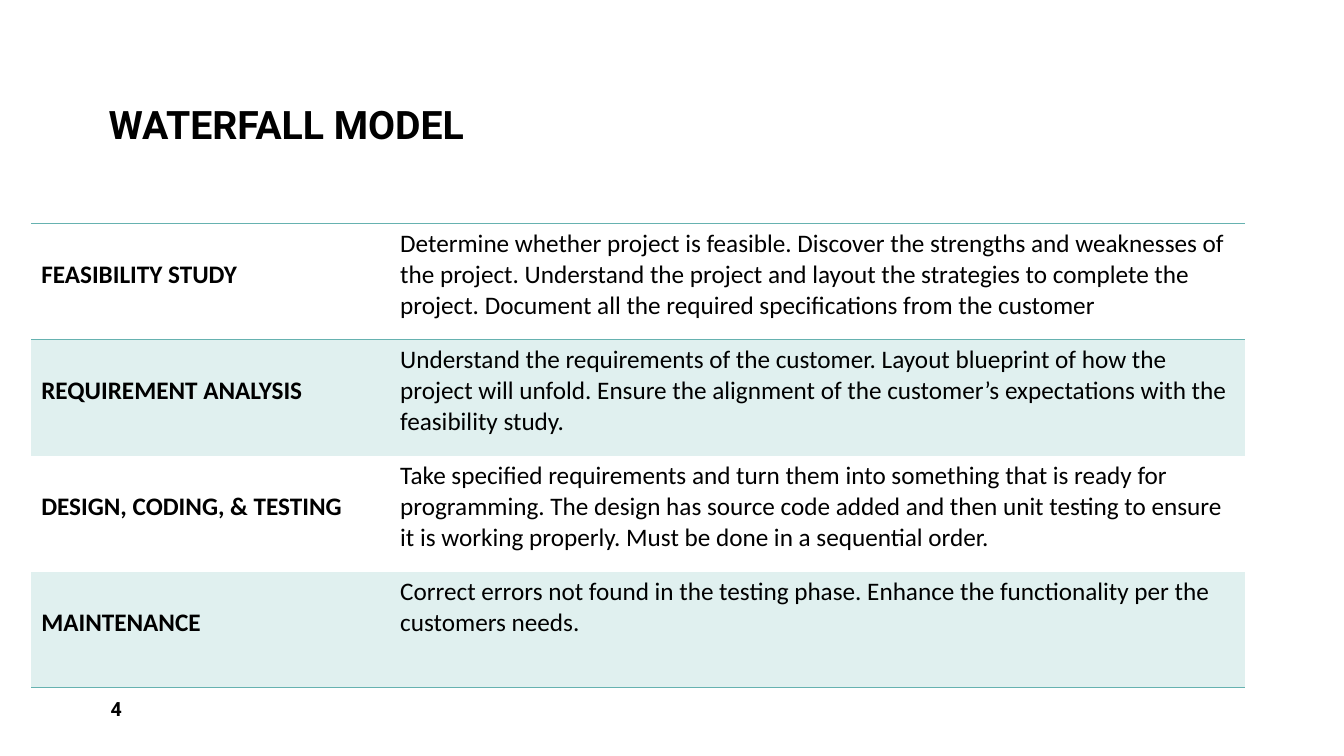
from dataclasses import dataclass

from lxml.etree import SubElement
from pptx import Presentation
from pptx.dml.color import RGBColor as RGB
from pptx.enum.text import MSO_ANCHOR as Anchor
from pptx.oxml.ns import qn
from pptx.util import Inches, Pt


@dataclass(frozen=True)
class Theme:
    ink: str = "000000"
    rule: str = "66B2B0"
    band: str = "E0F0EF"
    head: str = "Roboto"
    body: str = "Calibri"
    title: int = 28
    text: int = 18
    page: int = 14


THEME = Theme()
NO_STYLE = "{2D5ABB26-0587-4C30-8999-92F81FD0307C}"
PHASES = [
    ("FEASIBILITY STUDY",
     "Determine whether project is feasible. Discover the strengths and "
     "weaknesses of the project. Understand the project and layout the "
     "strategies to complete the project. Document all the required "
     "specifications from the customer"),
    ("REQUIREMENT ANALYSIS",
     "Understand the requirements of the customer. Layout blueprint of how "
     "the project will unfold. Ensure the alignment of the customer’s "
     "expectations with the feasibility study."),
    ("DESIGN, CODING, & TESTING",
     "Take specified requirements and turn them into something that is ready "
     "for programming. The design has source code added and then unit testing "
     "to ensure it is working properly. Must be done in a sequential order."),
    ("MAINTENANCE",
     "Correct errors not found in the testing phase. Enhance the "
     "functionality per the customers needs."),
]


def write(frame, text, size=THEME.text, font=THEME.body, bold=False, spacing=1.0):
    frame.word_wrap = True
    para = frame.paragraphs[0]
    para.line_spacing = spacing
    run = para.add_run()
    run.text = text
    run.font.size = Pt(size)
    run.font.name = font
    run.font.bold = bold
    run.font.color.rgb = RGB.from_string(THEME.ink)


def add_label(slide, box, text, anchor, **style):
    frame = slide.shapes.add_textbox(*map(Inches, box)).text_frame
    frame.vertical_anchor = anchor
    write(frame, text, font=THEME.head, bold=True, **style)


def add_rule(cell, side):
    """Draw a thin border on the cell's top (lnT) or bottom (lnB)."""
    line = SubElement(cell._tc.get_or_add_tcPr(), qn(f"a:{side}"), w=str(Pt(1)))
    fill = SubElement(line, qn("a:solidFill"))
    SubElement(fill, qn("a:srgbClr"), val=THEME.rule)


def add_phases(slide, box, split):
    """Fill the box with one row per phase; split is the first column's width."""
    left, top, width, height = map(Inches, box)
    table = slide.shapes.add_table(len(PHASES), 2, left, top, width, height).table
    table.first_row = table.horz_banding = False
    table._tbl.tblPr.find(qn("a:tableStyleId")).text = NO_STYLE
    table.columns[0].width = Inches(split)
    table.columns[1].width = width - Inches(split)
    last = len(PHASES) - 1
    for i, (name, detail) in enumerate(PHASES):
        write(table.cell(i, 0).text_frame, name, bold=True, spacing=2.0)
        write(table.cell(i, 1).text_frame, detail)
        for cell in table.rows[i].cells:
            if i == 0:
                add_rule(cell, "lnT")
            if i in (0, last):
                add_rule(cell, "lnB")
            if i % 2:
                cell.fill.solid()
                cell.fill.fore_color.rgb = RGB.from_string(THEME.band)
            else:
                cell.fill.background()


def main():
    deck = Presentation()
    deck.slide_width, deck.slide_height = Inches(13.33), Inches(7.5)
    slide = deck.slides.add_slide(deck.slide_layouts[6])
    add_label(slide, (0.98, 0.15, 6.75, 1.37), "WATERFALL MODEL",
              Anchor.BOTTOM, size=THEME.title, spacing=0.9)
    add_label(slide, (1, 6.83, 1.3, 0.4), "4", Anchor.MIDDLE, size=THEME.page)
    add_phases(slide, (0.31, 2.22, 12.04, 4.6), split=3.56)
    deck.save("out.pptx")


if __name__ == "__main__":
    main()
